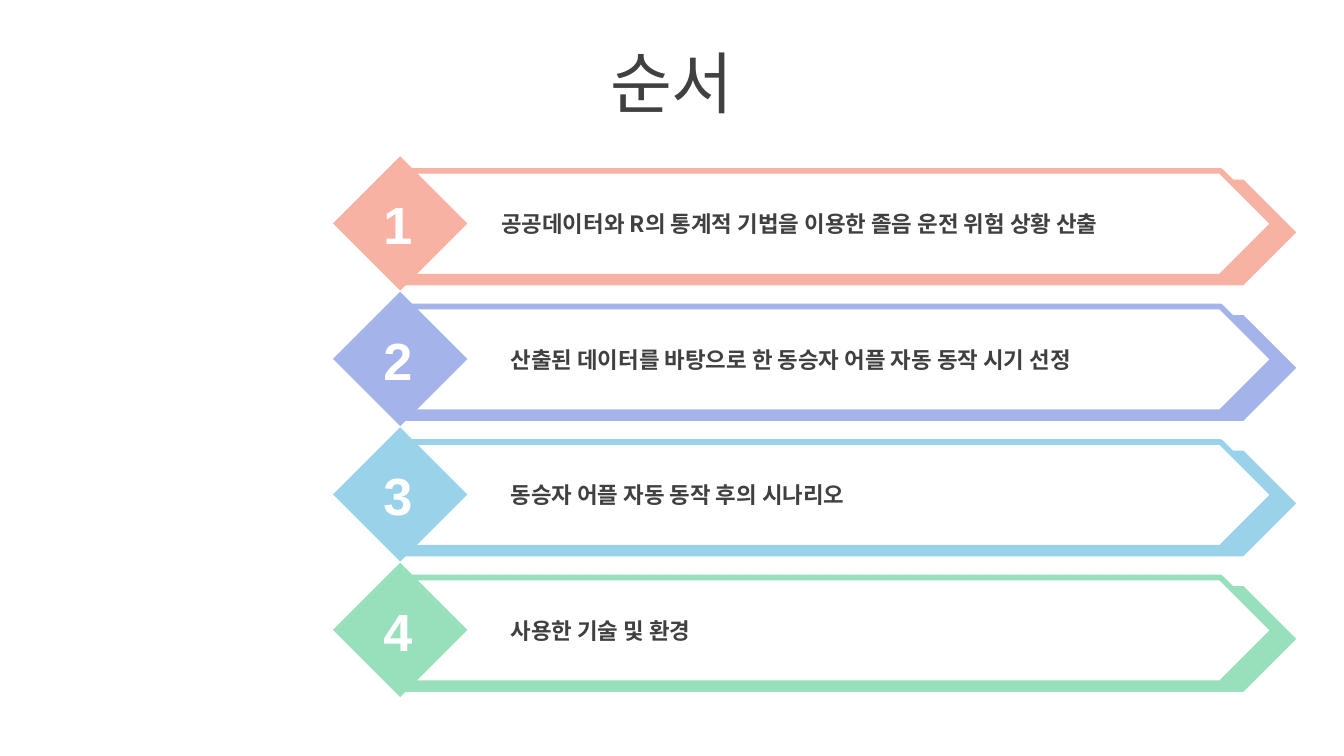
"""Builds an agenda slide with four numbered arrow banners."""
from pptx import Presentation
from pptx.dml.color import RGBColor
from pptx.enum.shapes import MSO_SHAPE
from pptx.enum.text import MSO_ANCHOR, PP_ALIGN
from pptx.oxml.ns import qn
from pptx.util import Pt
from lxml import etree

ARROW = MSO_SHAPE.PENTAGON
DIAMOND = MSO_SHAPE.DIAMOND
MIDDLE = MSO_ANCHOR.MIDDLE
TOP = MSO_ANCHOR.TOP
CENTER = PP_ALIGN.CENTER
LEFT = PP_ALIGN.LEFT

WHITE = RGBColor(0xFF, 0xFF, 0xFF)
DARK = RGBColor(0x40, 0x40, 0x40)
CORAL = RGBColor(0xF8, 0xB2, 0xA3)
VIOLET = RGBColor(0xA4, 0xB4, 0xEA)
SKY = RGBColor(0x9A, 0xD3, 0xE9)
MINT = RGBColor(0x98, 0xDF, 0xBB)

KOREAN = "Noto Sans CJK KR"
LATIN = "Arial"
FIRST = 83.7
STEP = 72.6

ITEMS = [
    (CORAL, 261.4, KOREAN, "공공데이터와 R의 통계적 기법을 이용한 졸음 운전 위험 상황 산출"),
    (VIOLET, 266.4, KOREAN, "산출된 데이터를 바탕으로 한 동승자 어플 자동 동작 시기 선정"),
    (SKY, 266.4, KOREAN, "동승자 어플 자동 동작 후의 시나리오"),
    (MINT, 266.4, LATIN, "사용한 기술 및 환경"),
]


class Deck:
    """Holds the style and the current slide."""

    def __init__(self):
        self.show = Presentation()
        self.show.slide_width, self.show.slide_height = Pt(720), Pt(405)
        self.slide = self.show.slides.add_slide(self.show.slide_layouts[5])

    def style(self, shape, text, size, face, color, bold, align, anchor):
        frame = shape.text_frame
        frame.text = text
        frame.word_wrap = True
        frame.vertical_anchor = anchor
        line = frame.paragraphs[0]
        line.alignment = align
        for run in line.runs:
            font = run.font
            font.size, font.bold, font.name = Pt(size), bold, face
            font.color.rgb = color
            east = etree.SubElement(run._r.get_or_add_rPr(), qn("a:ea"))
            east.set("typeface", KOREAN)

    def title(self, text, x, y, w, h):
        box = self.slide.shapes.title
        box.left, box.top, box.width, box.height = Pt(x), Pt(y), Pt(w), Pt(h)
        self.style(box, text, 36, KOREAN, DARK, False, CENTER, MIDDLE)

    def label(self, text, x, y, w, h, **look):
        box = self.slide.shapes.add_textbox(Pt(x), Pt(y), Pt(w), Pt(h))
        self.style(box, text, **look)

    def shape(self, group, kind, x, y, w, h, fill, edge=None):
        item = group.shapes.add_shape(kind, Pt(x), Pt(y), Pt(w), Pt(h))
        item.shadow.inherit = False
        item.fill.solid()
        item.fill.fore_color.rgb = fill
        if edge is None:
            item.line.fill.background()
        else:
            item.line.color.rgb = edge
            item.line.width = Pt(3)

    def banner(self, y, color):
        group = self.slide.shapes.add_group_shape()
        self.shape(group, ARROW, 216.4, y + 12.5, 478, 56.7, color)
        self.shape(group, ARROW, 216.4, y + 7.9, 465.8, 56.7, WHITE, color)
        self.shape(group, DIAMOND, 178.4, y, 72, 72, color)

    def item(self, rank, color, x, face, text):
        y = FIRST + (rank - 1) * STEP
        self.banner(y, color)
        self.label(str(rank), 197.3, y + 15.8, 31.7, 41, size=28, face=LATIN,
                   color=WHITE, bold=True, align=CENTER, anchor=MIDDLE)
        self.label(text, x, y + 25.6, 380, 21.6, size=12, face=face,
                   color=DARK, bold=True, align=LEFT, anchor=TOP)


def main():
    deck = Deck()
    deck.title("순서", 0, 20.9, 720, 45.4)
    for rank, item in enumerate(ITEMS, 1):
        deck.item(rank, *item)
    deck.show.save("out.pptx")


if __name__ == "__main__":
    main()
